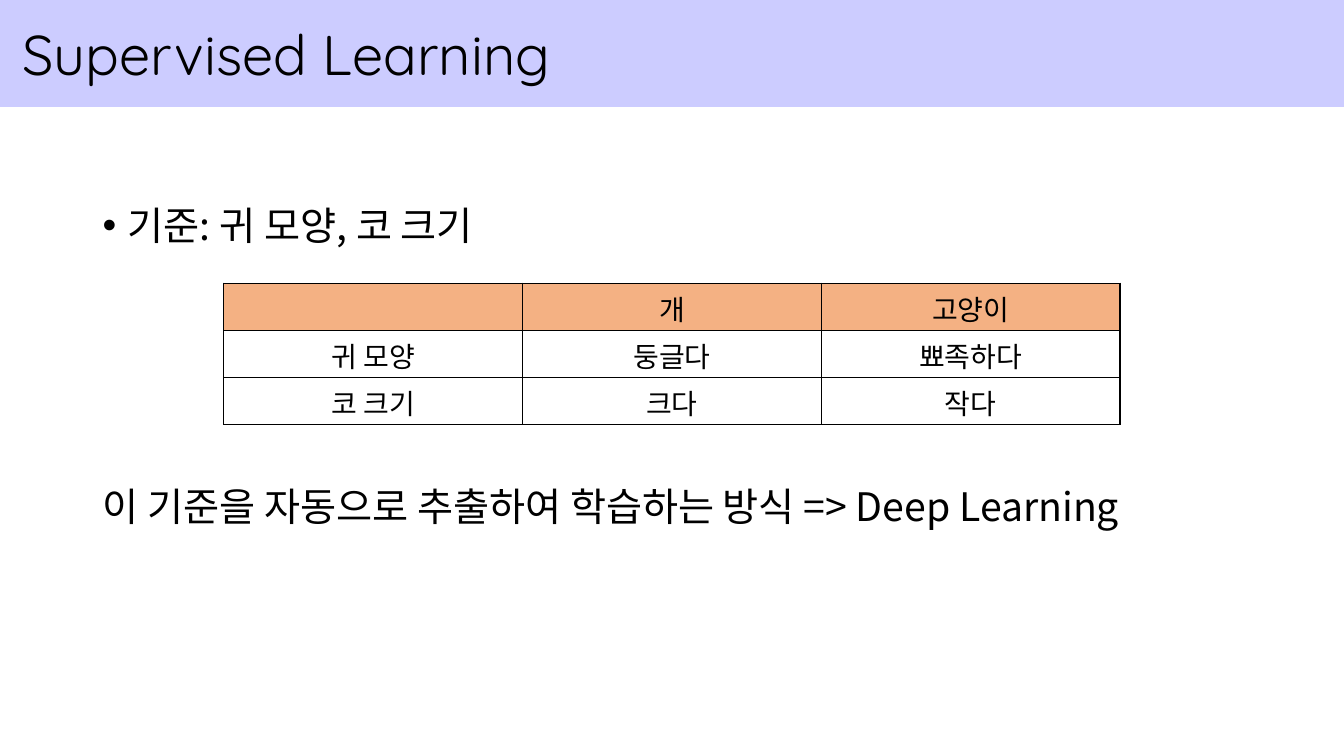
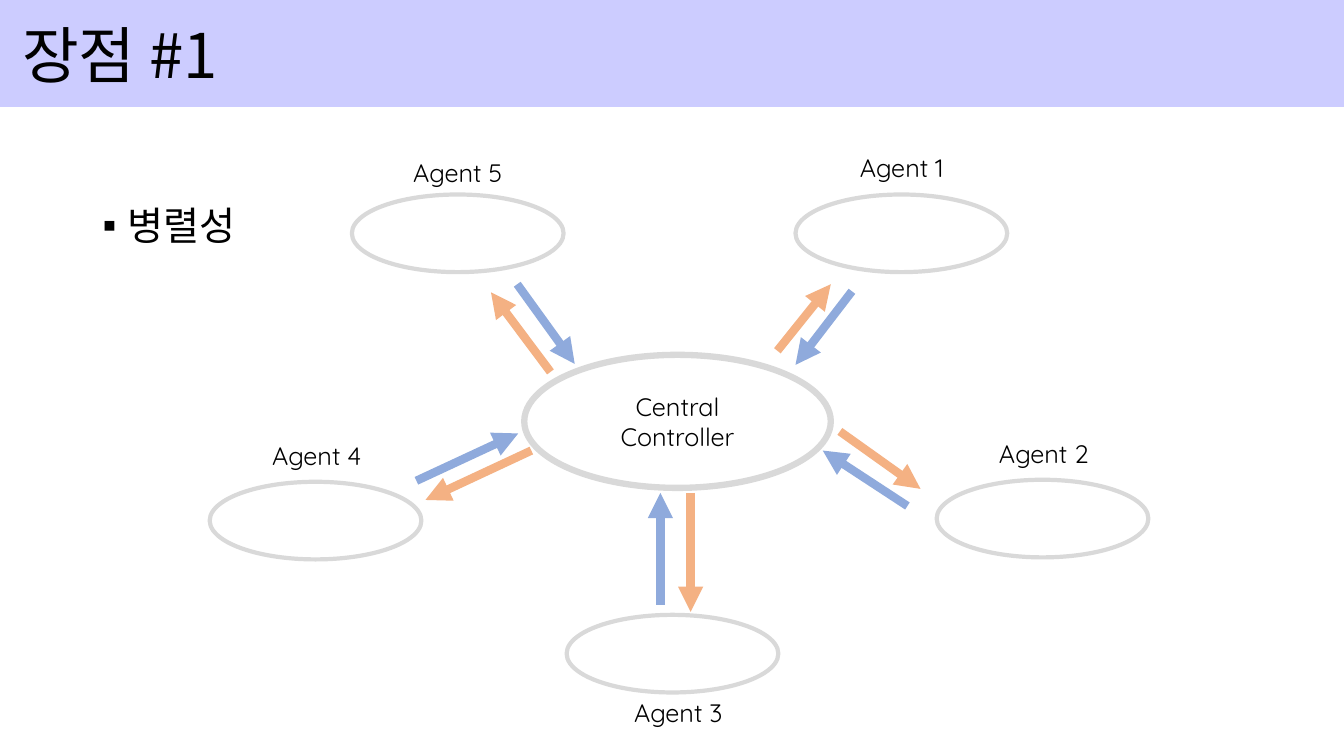
import pptx
import pptx.util
import pptx.dml.color
import pptx.enum.shapes
import pptx.enum.text
import pptx.oxml
import pptx.oxml.ns

Inches = pptx.util.Inches
Pt = pptx.util.Pt
SHAPE = pptx.enum.shapes.MSO_SHAPE
ALIGN = pptx.enum.text.PP_ALIGN
MIDDLE = pptx.enum.text.MSO_ANCHOR.MIDDLE
NS = pptx.oxml.ns.nsdecls("a")

KOREAN, LATIN = "Noto Sans CJK KR", "Quicksand"
BLACK, BAND, GRAY = "000000", "CCCCFF", "D9D9D9"
BLUE, ORANGE = "8FAADC", "F4B183"
WIDTH, HEIGHT = 13.33, 7.5

TRAITS = [
    ("", "개", "고양이"),
    ("귀 모양", "둥글다", "뾰족하다"),
    ("코 크기", "크다", "작다"),
]

# Each agent: name, oval corner, label corner, arrow to hub, arrow from hub
AGENTS = [
    ("Agent 1", (5.89, 0.93), (6.43, 0.46), (6.45, 1.89, 5.89, 2.62), (5.71, 2.48, 6.24, 1.82)),
    ("Agent 2", (7.29, 3.76), (7.81, 3.3), (7, 4.02, 6.16, 3.47), (6.33, 3.28, 7.13, 3.85)),
    ("Agent 3", (3.62, 5.1), (4.19, 5.87), (4.55, 5, 4.55, 3.89), (4.85, 3.89, 4.85, 5.07)),
    ("Agent 4", (0.08, 3.78), (0.6, 3.32), (2.13, 3.77, 3.14, 3.3), (3.27, 3.47, 2.22, 3.96)),
    ("Agent 5", (1.49, 0.93), (2, 0.51), (3.13, 1.82, 3.7, 2.61), (3.46, 2.69, 2.87, 1.9)),
]


def color(code):
    """Turn a hex string into a colour."""
    return pptx.dml.color.RGBColor.from_string(code)


def xml(text):
    """Parse a fragment in the drawing namespace."""
    return pptx.oxml.parse_xml(text.replace("/>", f" {NS}/>", 1) if text.endswith("/>")
                               and text.count("<") == 1 else text.replace(">", f" {NS}>", 1))


def write(frame, text, size, face, align=ALIGN.LEFT):
    """Put one styled paragraph in a frame and return it."""
    frame.text = text
    para = frame.paragraphs[0]
    para.alignment = align
    for run in para.runs:
        run.font.size = Pt(size)
        run.font.name = face
        run.font.color.rgb = color(BLACK)
        run.font._element.append(xml(f'<a:ea typeface="{face}"/>'))
    return para


def title(slide, text, size, face):
    """Draw the title band across the top."""
    band = slide.shapes.add_shape(SHAPE.RECTANGLE, 0, 0, Inches(WIDTH), Inches(1.06))
    band.shadow.inherit = False
    band.fill.solid()
    band.fill.fore_color.rgb = color(BAND)
    band.line.fill.background()
    frame = band.text_frame
    frame.vertical_anchor = MIDDLE
    frame.margin_left = Inches(0.22)
    write(frame, text, size, face)


def body(slide, left, top, width, text, mark=None):
    """Write a line of body text, with a bullet if a mark is given."""
    box = slide.shapes.add_textbox(Inches(left), Inches(top), Inches(width), Inches(0.6))
    box.text_frame.word_wrap = True
    para = write(box.text_frame, text, 28, KOREAN)
    para.line_spacing = 0.9
    if mark:
        props = para._p.get_or_add_pPr()
        props.set("marL", str(Inches(0.25)))
        props.set("indent", str(-Inches(0.25)))
        props.append(xml('<a:buFont typeface="Arial"/>'))
        props.append(xml(f'<a:buChar char="{mark}"/>'))


def border(cell):
    """Give a cell thin black edges."""
    props = cell._tc.get_or_add_tcPr()
    for side in "LRTB":
        props.append(xml(f'<a:ln{side} w="{Pt(1)}"><a:solidFill>'
                         f'<a:srgbClr val="{BLACK}"/></a:solidFill></a:ln{side}>'))


def grid(slide, left, top, width, height, rows):
    """Draw a table with a coloured header row."""
    table = slide.shapes.add_table(len(rows), len(rows[0]), Inches(left), Inches(top),
                                   Inches(width), Inches(height)).table
    for r, row in enumerate(rows):
        for c, text in enumerate(row):
            cell = table.cell(r, c)
            cell.vertical_anchor = MIDDLE
            border(cell)
            if r == 0:
                cell.fill.solid()
                cell.fill.fore_color.rgb = color(ORANGE)
            else:
                cell.fill.background()
            if text:
                write(cell.text_frame, text, 20, KOREAN, ALIGN.CENTER)


def oval(slide, left, top, width, height, weight):
    """Draw a gray outlined ellipse."""
    shape = slide.shapes.add_shape(SHAPE.OVAL, Inches(left), Inches(top),
                                   Inches(width), Inches(height))
    shape.shadow.inherit = False
    shape.fill.background()
    shape.line.color.rgb = color(GRAY)
    shape.line.width = Pt(weight)
    return shape


def arrow(slide, left, top, ends, code):
    """Draw a thick arrow between two points of a box."""
    x, y, u, v = ends
    link = slide.shapes.add_connector(
        pptx.enum.shapes.MSO_CONNECTOR.STRAIGHT,
        Inches(left + x), Inches(top + y), Inches(left + u), Inches(top + v))
    link.line.color.rgb = color(code)
    link.line.width = Pt(6)
    link.line._get_or_add_ln().append(xml('<a:tailEnd type="triangle"/>'))
    link._element.spPr.append(xml("<a:effectLst/>"))


def label(slide, left, top, text):
    """Write an agent's name."""
    box = slide.shapes.add_textbox(Inches(left), Inches(top), Inches(1.14), Inches(0.4))
    box.text_frame.word_wrap = False
    write(box.text_frame, text, 18, LATIN)


def network(slide, left, top):
    """Draw the hub and the agents around it."""
    hub = oval(slide, left + 3.2, top + 2.52, 3.04, 1.32, 4.5)
    hub.text_frame.vertical_anchor = MIDDLE
    hub.text_frame.word_wrap = True
    write(hub.text_frame, "Central Controller", 18, LATIN, ALIGN.CENTER)
    for name, ring, tag, send, reply in AGENTS:
        oval(slide, left + ring[0], top + ring[1], 2.1, 0.77, 3)
        label(slide, left + tag[0], top + tag[1], name)
        arrow(slide, left, top, send, BLUE)
        arrow(slide, left, top, reply, ORANGE)


def main():
    """Build and save both slides."""
    deck = pptx.Presentation()
    deck.slide_width, deck.slide_height = Inches(WIDTH), Inches(HEIGHT)
    blank = deck.slide_layouts[6]

    slide = deck.slides.add_slide(blank)
    title(slide, "Supervised Learning", 40, LATIN)
    body(slide, 0.92, 2, 11.5, "기준: 귀 모양, 코 크기", "•")
    grid(slide, 2.22, 2.81, 8.89, 1.4, TRAITS)
    body(slide, 0.92, 4.79, 11.5, "이 기준을 자동으로 추출하여 학습하는 방식 => Deep Learning")

    slide = deck.slides.add_slide(blank)
    title(slide, "장점 #1", 44, KOREAN)
    body(slide, 0.92, 2, 2.5, "병렬성", "▪")
    network(slide, 2, 1)

    deck.save("out.pptx")


if __name__ == "__main__":
    main()
